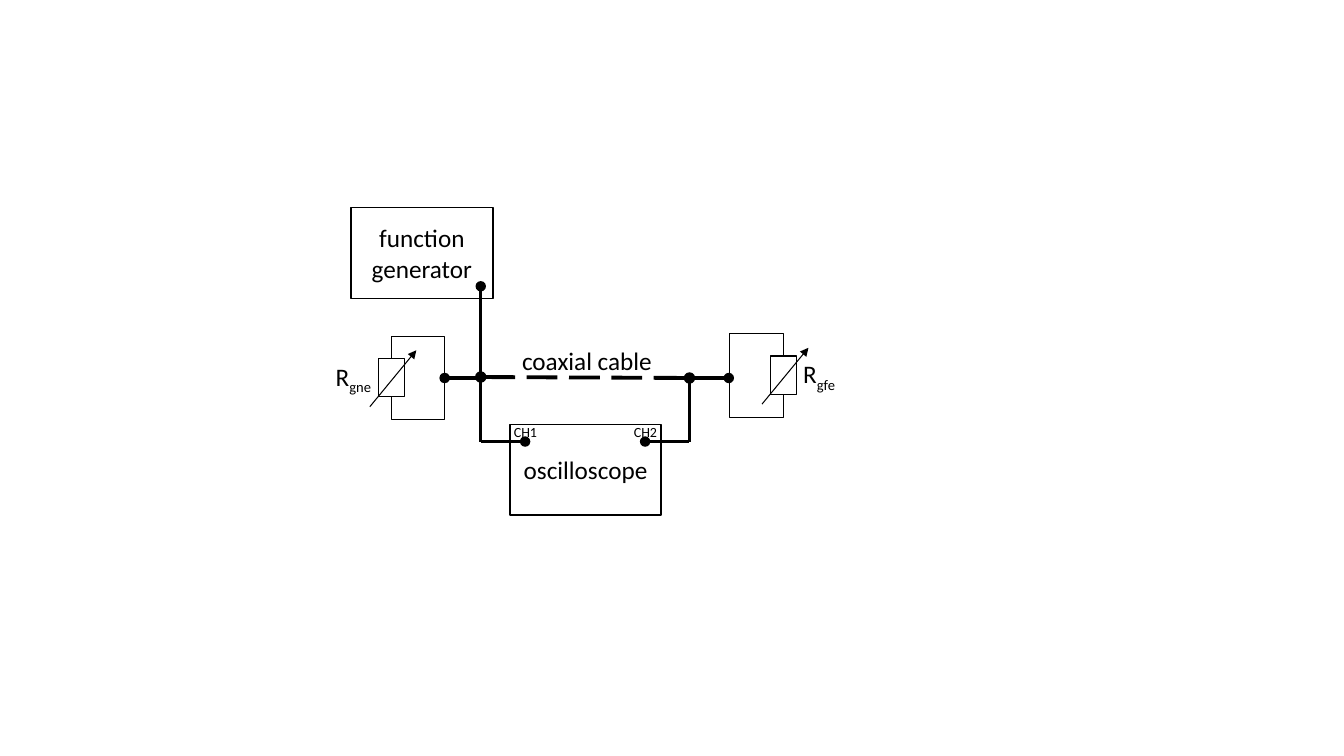
import pptx
import pptx.util
import pptx.dml.color
import pptx.enum.dml
import pptx.enum.shapes
import pptx.enum.text
import pptx.oxml
import pptx.oxml.ns

Pt = pptx.util.Pt
BLACK, WHITE = "000000", "FFFFFF"
FONT = "Calibri"
NEAR, FAR = 343.4, 492.5  # x of the two cable ends
MID, LOW = 270, 315.4     # y of the cable and of the scope inputs


def color(code):
    return pptx.dml.color.RGBColor.from_string(code)


def add_tag(parent, name, **attrs):
    tag = pptx.oxml.parse_xml(f"<a:{name} {pptx.oxml.ns.nsdecls('a')}/>")
    for key, value in attrs.items():
        tag.set(key, value)
    parent.append(tag)


def add_run(para, text, size, sub=False):
    run = para.add_run()
    run.text = text
    run.font.name = FONT
    run.font.size = Pt(size)
    run.font.color.rgb = color(BLACK)
    if sub:
        run.font._element.set("baseline", "-25000")


def add_box(shapes, left, top, width, height, weight, fill=None):
    box = shapes.add_shape(pptx.enum.shapes.MSO_SHAPE.RECTANGLE,
                           Pt(left), Pt(top), Pt(width), Pt(height))
    box.shadow.inherit = False
    if fill:
        box.fill.solid()
        box.fill.fore_color.rgb = color(fill)
    else:
        box.fill.background()
    box.line.color.rgb = color(BLACK)
    box.line.width = Pt(weight)
    return box


def add_device(shapes, left, top, width, height, lines):
    frame = add_box(shapes, left, top, width, height, 1).text_frame
    frame.word_wrap = True
    frame.vertical_anchor = pptx.enum.text.MSO_ANCHOR.MIDDLE
    for i, text in enumerate(lines):
        para = frame.add_paragraph() if i else frame.paragraphs[0]
        para.alignment = pptx.enum.text.PP_ALIGN.CENTER
        add_run(para, text, 18)


def add_label(shapes, left, top, width, height, text, size=18, sub=""):
    frame = shapes.add_textbox(Pt(left), Pt(top), Pt(width), Pt(height)).text_frame
    frame.word_wrap = True
    frame.auto_size = pptx.enum.text.MSO_AUTO_SIZE.SHAPE_TO_FIT_TEXT
    add_run(frame.paragraphs[0], text, size)
    if sub:
        add_run(frame.paragraphs[0], sub, size, sub=True)


def add_wire(shapes, start, end, weight=2.5, head=None, tail=None, dash=None):
    wire = shapes.add_connector(pptx.enum.shapes.MSO_CONNECTOR.STRAIGHT,
                                *map(Pt, start + end))
    wire.line.color.rgb = color(BLACK)
    wire.line.width = Pt(weight)
    if dash:
        wire.line.dash_style = dash
    line = wire.line._get_or_add_ln()
    if head:
        add_tag(line, "headEnd", type=head)
    if tail:
        add_tag(line, "tailEnd", type=tail)
    add_tag(wire._element.spPr, "effectLst")
    return wire


def add_load(slide, side, top, loop_left, label_left, sub):
    """Draw a variable resistor centred on x = side of its loop; return the loop."""
    shapes = slide.shapes.add_group_shape().shapes
    loop = add_box(shapes, loop_left, top, 38.2, 59.8, 0.75)
    add_box(shapes, side - 9.35, top + 16, 18.7, 27.4, 0.75, WHITE)
    add_wire(shapes, (side - 15.2, top + 50.4), (side + 18, top + 10.1),
             0.75, tail="triangle")
    add_label(shapes, label_left, top + 14.4, 46, 29, "R", sub=sub)
    return loop


def add_cable(shapes):
    add_wire(shapes, (FAR, MID), (NEAR, MID - 0.7), 2.75, "oval", "oval",
             pptx.enum.dml.MSO_LINE.LONG_DASH)
    add_label(shapes, 365.8, 243.4, 108, 29, "coaxial cable")


def add_input(shapes, cable, port, label_left, text):
    """Lead one cable end down to a port of the oscilloscope."""
    add_wire(shapes, (port, LOW), (cable, LOW), head="oval")
    add_wire(shapes, (cable, MID - 1.4), (cable, LOW))
    add_label(shapes, label_left, 298.8, 50.4, 19.4, text, 10)


def build_circuit(slide):
    shapes = slide.shapes
    add_device(shapes, 250.6, 148.3, 101.5, 64.8, ["function", "generator"])
    add_device(shapes, 364.3, 303.1, 108, 64.8, ["oscilloscope"])
    add_wire(shapes, (NEAR, 204.5), (NEAR, MID), head="oval")
    add_cable(shapes)
    add_load(slide, 559.5, 238.3, 521.3, 566.6, "gfe")
    loop = add_load(slide, 279.4, 240.1, 279.4, 232.6, "gne")
    lead = add_wire(shapes, (317.6, MID), (NEAR, MID), head="oval")
    lead.begin_connect(loop, 3)
    add_wire(shapes, (FAR, MID), (520.6, MID), tail="oval")
    add_input(shapes, NEAR, 375.1, 360, "CH1")
    add_input(shapes, FAR, 460.8, 445.7, "CH2")


def main():
    deck = pptx.Presentation()
    deck.slide_width, deck.slide_height = Pt(960), Pt(540)
    build_circuit(deck.slides.add_slide(deck.slide_layouts[6]))
    deck.save("out.pptx")


if __name__ == "__main__":
    main()
